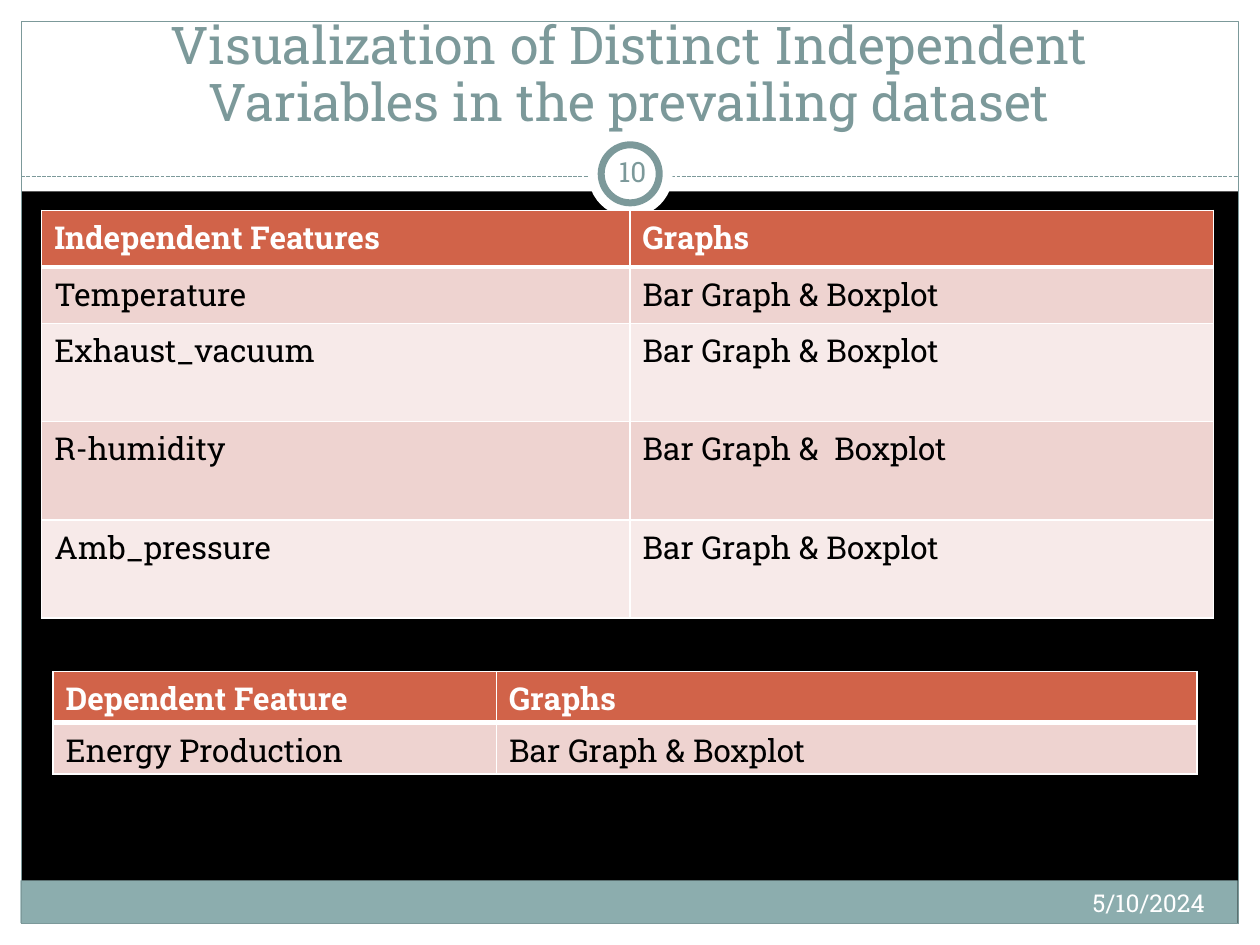
from lxml import etree
from pptx import Presentation
from pptx.dml.color import RGBColor
from pptx.enum.dml import MSO_LINE
from pptx.enum.shapes import MSO_CONNECTOR, MSO_SHAPE
from pptx.enum.text import MSO_ANCHOR, PP_ALIGN
from pptx.oxml.ns import qn
from pptx.util import Cm, Pt

RECT, OVAL = MSO_SHAPE.RECTANGLE, MSO_SHAPE.OVAL
STRAIGHT, DASH = MSO_CONNECTOR.STRAIGHT, MSO_LINE.SQUARE_DOT
TOP, MIDDLE, BOTTOM = MSO_ANCHOR.TOP, MSO_ANCHOR.MIDDLE, MSO_ANCHOR.BOTTOM
CENTER, RIGHT = PP_ALIGN.CENTER, PP_ALIGN.RIGHT
FONT = "Roboto Slab"
WHITE, BLACK, TEAL, BAND = "FFFFFF", "000000", "7C999A", "8CADAE"
HEADER, DARK_ROW, LIGHT_ROW = "D16349", "EED3D0", "F7EAE9"


def rgb(value):
    return RGBColor.from_string(value)


def format_text(tf, size, color, align=None, bold=False):
    for p in tf.paragraphs:
        p.alignment = align
        for r in p.runs:
            r.font.name, r.font.size, r.font.bold = FONT, Pt(size), bold
            r.font.color.rgb = rgb(color)


prs = Presentation()
prs.slide_width, prs.slide_height = Cm(25.4), Cm(19.05)
s = prs.slides.add_slide(prs.slide_layouts[5])
s.background.fill.solid()
s.background.fill.fore_color.rgb = rgb(BLACK)

# White margins, footer band and frame: left, top, width, height, fill, line
for x, y, w, h, fill, line in [
    (0, 18.62, 25.4, 0.43, WHITE, None),
    (0, 0, 25.4, 3.86, WHITE, None),
    (0, 0, 0.43, 19.05, WHITE, None),
    (24.97, 0, 0.43, 19.05, WHITE, None),
    (0.41, 17.75, 24.54, 0.86, BAND, None),
    (0.43, 0.43, 24.54, 18.19, None, TEAL),
]:
    sp = s.shapes.add_shape(RECT, Cm(x), Cm(y), Cm(w), Cm(h))
    sp.shadow.inherit = False
    if fill:
        sp.fill.solid()
        sp.fill.fore_color.rgb = rgb(fill)
    else:
        sp.fill.background()
    if line:
        sp.line.color.rgb = rgb(line)
        sp.line.width = Pt(0.75)
    else:
        sp.line.fill.background()

# Dashed divider under the title
divider = s.shapes.add_connector(STRAIGHT, Cm(0.43), Cm(3.56), Cm(24.97), Cm(3.56))
divider.line.color.rgb = rgb(TEAL)
divider.line.width = Pt(0.75)
divider.line.dash_style = DASH
etree.SubElement(divider._element.spPr, qn("a:effectLst"))

# Page number badge: white disc, then ring
for x, y, d, line in [(11.86, 2.67, 1.7, None), (12.12, 2.92, 1.17, TEAL)]:
    sp = s.shapes.add_shape(OVAL, Cm(x), Cm(y), Cm(d), Cm(d))
    sp.shadow.inherit = False
    sp.fill.solid()
    sp.fill.fore_color.rgb = rgb(WHITE)
    if line:
        sp.line.color.rgb = rgb(line)
        sp.line.width = Pt(4)
    else:
        sp.line.fill.background()

# Title, brought in front of the margins
title = s.shapes.title
title.left, title.top, title.width, title.height = Cm(0.84), Cm(0.64), Cm(23.7), Cm(2.1)
s.shapes._spTree.append(title._element)
tf = title.text_frame
tf.text = "Visualization of Distinct Independent Variables in the prevailing dataset"
tf.word_wrap = True
tf.vertical_anchor = BOTTOM
tf.margin_left = tf.margin_right = Cm(0.5)
tf.margin_bottom = Cm(0.05)
tf.paragraphs[0].line_spacing = 0.92
format_text(tf, 29.7, TEAL, CENTER)

# Date and page number
for text, x, y, w, h, size, color, align, anchor, inset in [
    ("5/10/2024", 16.08, 17.78, 8.46, 1.02, 14, WHITE, RIGHT, TOP, 0.25),
    ("10", 12.12, 2.84, 1.27, 1.22, 16, TEAL, CENTER, MIDDLE, 0.13),
]:
    tf = s.shapes.add_textbox(Cm(x), Cm(y), Cm(w), Cm(h)).text_frame
    tf.text = text
    tf.word_wrap = True
    tf.vertical_anchor = anchor
    tf.margin_left = tf.margin_right = Cm(inset)
    format_text(tf, size, color, align)

# Feature tables: left, top, column widths, row heights, rows
for x, y, widths, heights, rows in [
    (0.84, 4.24, (11.86, 11.76), (1.14, 1.14, 1.98, 1.98, 1.98), [
        ("Independent Features", "Graphs"),
        ("Temperature", "Bar Graph & Boxplot"),
        ("Exhaust_vacuum", "Bar Graph & Boxplot"),
        ("R-humidity", "Bar Graph &  Boxplot"),
        ("Amb_pressure", "Bar Graph & Boxplot"),
    ]),
    (1.07, 13.54, (8.94, 14.12), (1.03, 1.03), [
        ("Dependent Feature", "Graphs"),
        ("Energy Production", "Bar Graph & Boxplot"),
    ]),
]:
    table = s.shapes.add_table(len(rows), len(widths), Cm(x), Cm(y),
                               Cm(sum(widths)), Cm(sum(heights))).table
    for column, width in zip(table.columns, widths):
        column.width = Cm(width)
    for i, row in enumerate(rows):
        table.rows[i].height = Cm(heights[i])
        fill = HEADER if i == 0 else (LIGHT_ROW, DARK_ROW)[i % 2]
        for j, text in enumerate(row):
            cell = table.cell(i, j)
            cell.text = text
            format_text(cell.text_frame, 18, BLACK if i else WHITE, bold=i == 0)
            # White borders, thicker between header and body
            tcPr = cell._tc.get_or_add_tcPr()
            for side in ("lnL", "lnR", "lnT", "lnB"):
                thick = (i, side) in ((0, "lnB"), (1, "lnT"))
                ln = etree.SubElement(tcPr, qn(f"a:{side}"), w=str(Pt(3 if thick else 1)))
                solid = etree.SubElement(ln, qn("a:solidFill"))
                etree.SubElement(solid, qn("a:srgbClr"), val=WHITE)
            cell.fill.solid()
            cell.fill.fore_color.rgb = rgb(fill)

prs.save("out.pptx")
